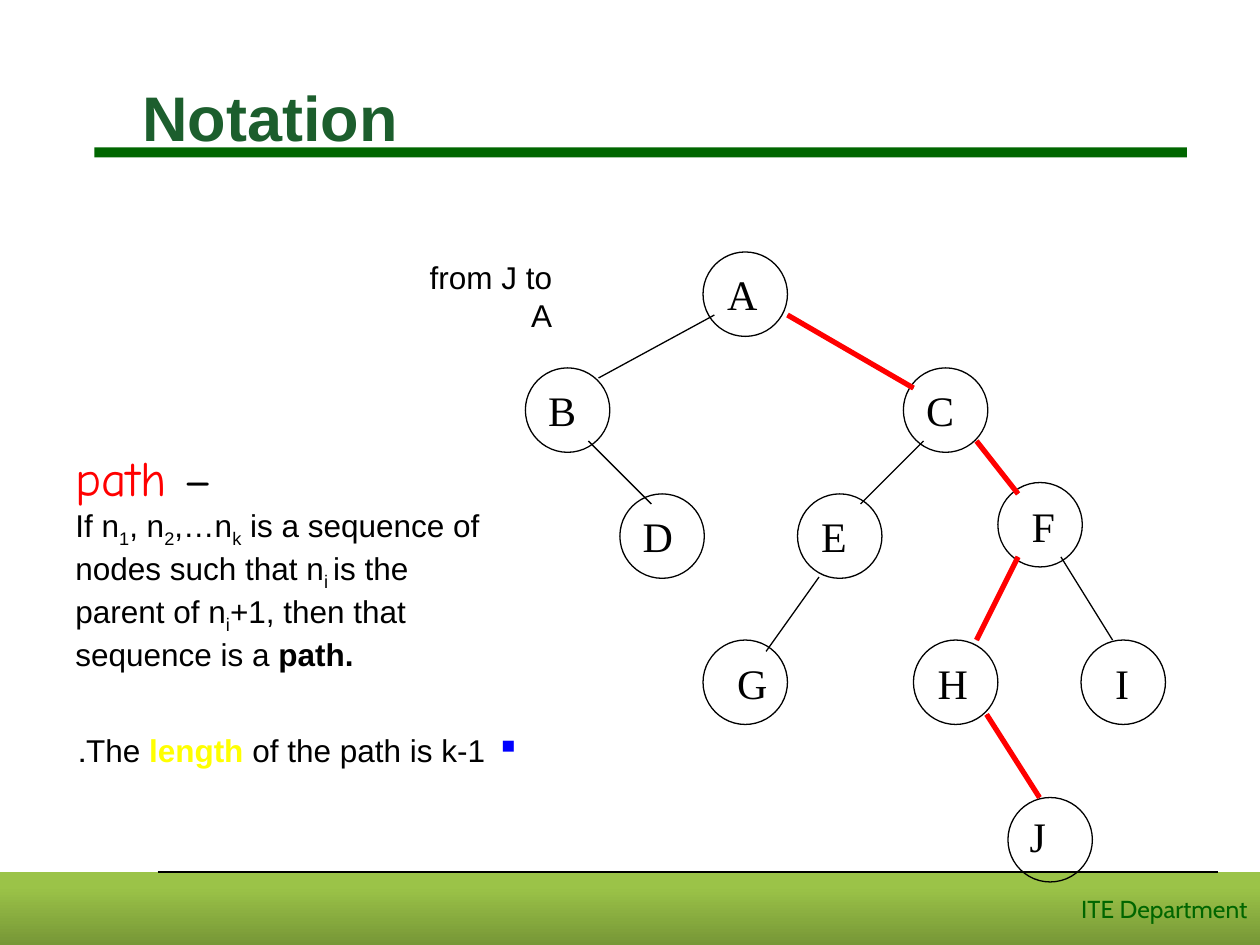
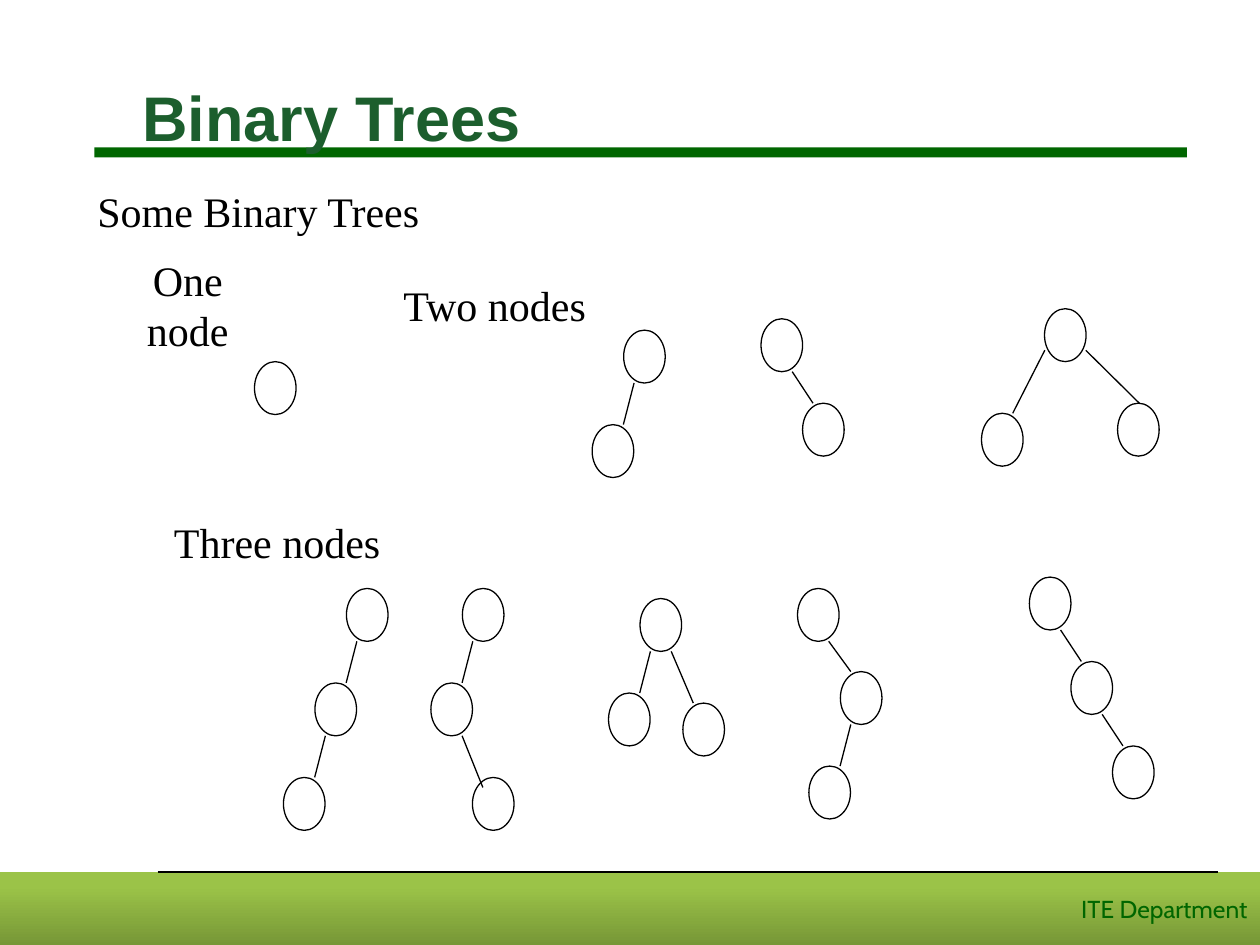
from dataclasses import dataclass

from lxml.etree import SubElement
from pptx import Presentation
from pptx.dml.color import RGBColor
from pptx.enum.shapes import MSO_CONNECTOR, MSO_SHAPE
from pptx.enum.text import MSO_ANCHOR, PP_ALIGN
from pptx.oxml.ns import qn
from pptx.util import Inches, Pt


@dataclass(frozen=True)
class Theme:
    title: str = "1C5E2D"
    bar: str = "006600"
    band_low: str = "779737"
    band_high: str = "9BC348"
    ink: str = "000000"
    paper: str = "FFFFFF"
    accent: str = "FF0000"
    bullet: str = "0000FF"
    highlight: str = "FFFF00"
    sans: str = "Arial"
    serif: str = "Times New Roman"
    comic: str = "Comic Neue"
    footer: str = "Cabin"
    title_size: int = 36
    term_size: int = 28
    label_size: int = 24
    body_size: int = 18
    footer_size: int = 14
    thin: float = 0.75
    thick: float = 3


T = Theme()

FOOTER = "ITE Department"
NOTATION = "Notation"
BINARY_TREES = "Binary Trees"

NODE_SIZE = 0.67
NODES = {
    "A": (5.58, 2), "B": (4.17, 2.92), "C": (7.17, 2.92),
    "D": (4.92, 3.92), "E": (6.33, 3.92), "F": (7.92, 3.83),
    "G": (5.58, 5.08), "H": (7.25, 5.08), "I": (8.58, 5.08), "J": (8, 6.33),
}
LETTERS = {
    "A": (5.67, 2.08, 0.44), "B": (4.25, 3, 0.42), "C": (7.25, 3, 0.42),
    "D": (5, 4, 0.44), "E": (6.42, 4, 0.4), "F": (8.09, 3.92, 0.38),
    "G": (5.75, 5.17, 0.44), "H": (7.34, 5.17, 0.44),
    "I": (8.75, 5.17, 0.31), "J": (8.07, 6.38, 0.33),
}
EDGES = {
    "AB": (5.67, 2.5, 4.75, 3), "AC": (6.25, 2.5, 7.25, 3.08),
    "BD": (4.67, 3.5, 5.17, 4), "CE": (7.33, 3.5, 6.83, 4),
    "CF": (7.75, 3.5, 8.08, 3.92), "EG": (6.5, 4.58, 6.08, 5.17),
    "FH": (8.08, 4.42, 7.75, 5.08), "FI": (8.42, 4.42, 8.83, 5.08),
    "HJ": (7.83, 5.67, 8.25, 6.33),
}
PATH_EDGES = ["AC", "CF", "FH", "HJ"]
PATH_LABEL = "from J to A"

TERM = [("path", T.accent), (" –", T.ink)]
DEFINITION = [
    ("If n", ""), ("1", "sub"), (", n", ""), ("2", "sub"), (",…n", ""),
    ("k", "sub"), (" is a sequence of nodes such that n", ""), ("i ", "sub"),
    ("is the parent of n", ""), ("i", "sub"),
    ("+1, then that sequence is a ", ""), ("path.", "bold"),
]
LENGTH = [("The ", T.ink), ("length", T.highlight), (" of the path is k-1.", T.ink)]

LABELS = [
    ("Some Binary Trees", 0.67, 1.42, 2.76),
    ("One node", 0.75, 2.17, 1.48),
    ("Two nodes", 3.1, 2.17, 1.65),
    ("Three nodes", 1.28, 4.05, 1.84),
]
OVAL_W, OVAL_H = 0.33, 0.42
STRAIGHT = ((0, 0), (0, 0))
CHAIN = [(0, 1, STRAIGHT), (1, 2, STRAIGHT)]
FORK = [(0, 1, STRAIGHT), (0, 2, STRAIGHT)]
WIDE_FORK = [(0, 1, ((-0.08, -0.09), (0, 0))), (0, 2, ((0.08, -0.09), (0.09, 0)))]
LOW_CHAIN = [(0, 1, STRAIGHT), (1, 2, ((0, 0), (0, 0.08)))]
TREES = [
    ([(2.02, 2.87)], []),
    ([(4.95, 2.62), (4.7, 3.37)], CHAIN[:1]),
    ([(6.04, 2.53), (6.37, 3.2)], CHAIN[:1]),
    ([(8.29, 2.45), (7.79, 3.28), (8.87, 3.2)], WIDE_FORK),
    ([(2.75, 4.67), (2.5, 5.42), (2.25, 6.17)], CHAIN),
    ([(3.67, 4.67), (3.42, 5.42), (3.75, 6.17)], LOW_CHAIN),
    ([(5.08, 4.75), (4.83, 5.5), (5.42, 5.58)], FORK),
    ([(6.33, 4.67), (6.67, 5.33), (6.42, 6.08)], CHAIN),
    ([(8.17, 4.58), (8.5, 5.25), (8.83, 5.92)], CHAIN),
]


def rgb(color):
    return RGBColor.from_string(color)


def style(r, size, font, color=T.ink, bold=False):
    r.font.size, r.font.name, r.font.bold = Pt(size), font, bold
    r.font.color.rgb = rgb(color)


def add_run(p, text, *look):
    r = p.add_run()
    r.text = text
    style(r, *look)
    return r


def add_shape(s, kind, x, y, w, h, fill=None, line=None):
    sp = s.shapes.add_shape(kind, Inches(x), Inches(y), Inches(w), Inches(h))
    sp.shadow.inherit = False
    if fill:
        sp.fill.solid()
        sp.fill.fore_color.rgb = rgb(fill)
    else:
        sp.fill.background()
    if line:
        sp.line.color.rgb = rgb(line)
        sp.line.width = Pt(T.thin)
    else:
        sp.line.fill.background()
    return sp


def add_line(s, x1, y1, x2, y2, color=T.ink, width=T.thin):
    ln = s.shapes.add_connector(
        MSO_CONNECTOR.STRAIGHT, Inches(x1), Inches(y1), Inches(x2), Inches(y2))
    ln.line.color.rgb = rgb(color)
    ln.line.width = Pt(width)
    SubElement(ln._element.spPr, qn("a:effectLst"))
    return ln


def add_box(s, x, y, w, h, wrap=False):
    tf = s.shapes.add_textbox(Inches(x), Inches(y), Inches(w), Inches(h)).text_frame
    tf.word_wrap = wrap
    return tf


def add_label(s, text, x, y, w, h, align, size=T.label_size, font=T.serif):
    tf = add_box(s, x, y, w, h)
    p = tf.paragraphs[0]
    p.alignment = align
    add_run(p, text, size, font)
    return tf


def furnish_layout(layout, s):
    band = add_shape(s, MSO_SHAPE.RECTANGLE, 0, 6.92, 10, 0.58)
    band.fill.gradient()
    band.fill.gradient_angle = 90
    stops = zip(band.fill.gradient_stops, (0, 0.8), (T.band_low, T.band_high))
    for stop, position, color in stops:
        stop.position = position
        stop.color.rgb = rgb(color)
    tf = band.text_frame
    tf.vertical_anchor = MSO_ANCHOR.MIDDLE
    p = tf.paragraphs[0]
    p.alignment = PP_ALIGN.RIGHT
    add_run(p, FOOTER, T.footer_size, T.footer, T.bar)
    rule = add_line(s, 1.25, 6.92, 9.67, 6.92)
    bar = add_shape(s, MSO_SHAPE.RECTANGLE, 0.75, 1.17, 8.67, 0.08, T.bar)
    for part in (band, rule, bar):
        layout.shapes._spTree.append(part._element)


def set_title(s, text):
    sp = s.shapes.title
    sp.left, sp.top, sp.width, sp.height = (Inches(v) for v in (0.5, 0.3, 9, 1.25))
    tf = sp.text_frame
    tf.text = text
    tf.vertical_anchor = MSO_ANCHOR.MIDDLE
    p = tf.paragraphs[0]
    p.alignment = PP_ALIGN.LEFT
    p._p.get_or_add_pPr().set("marL", str(Inches(0.53)))
    style(p.runs[0], T.title_size, T.sans, T.title, True)


def add_definition(s):
    tf = add_box(s, 0.5, 3.5, 3.5, 1.89, wrap=True)
    p = tf.paragraphs[0]
    for text, color in TERM:
        add_run(p, text, T.term_size, T.comic, color)
    p = tf.add_paragraph()
    for text, kind in DEFINITION:
        r = add_run(p, text, T.body_size, T.sans, T.ink, kind == "bold")
        if kind == "sub":
            r.font._element.set("baseline", "-25000")


def add_length_note(s):
    p = add_box(s, 0.52, 5.75, 3.67, 0.4).paragraphs[0]
    p.alignment = PP_ALIGN.RIGHT
    pPr = p._p.get_or_add_pPr()
    for key, value in (("marL", Inches(0.24)), ("indent", -Inches(0.24)), ("rtl", 1)):
        pPr.set(key, str(int(value)))
    SubElement(SubElement(pPr, qn("a:buClr")), qn("a:srgbClr")).set("val", T.bullet)
    SubElement(pPr, qn("a:buSzPct")).set("val", "60000")
    SubElement(pPr, qn("a:buChar")).set("char", "■")
    for text, color in LENGTH:
        add_run(p, text, T.body_size, T.sans, color, color == T.highlight)


def draw_notation(s):
    set_title(s, NOTATION)
    add_definition(s)
    for x, y in NODES.values():
        add_shape(s, MSO_SHAPE.OVAL, x, y, NODE_SIZE, NODE_SIZE, line=T.ink)
    for ends in EDGES.values():
        add_line(s, *ends)
    for letter, (x, y, w) in LETTERS.items():
        add_label(s, letter, x, y, w, 0.5, PP_ALIGN.RIGHT)
    add_label(s, PATH_LABEL, 3.09, 2, 1.39, 0.4, PP_ALIGN.RIGHT, T.body_size, T.sans)
    for edge in PATH_EDGES:
        add_line(s, *EDGES[edge], T.accent, T.thick)
    add_length_note(s)


def draw_tree(s, nodes, edges):
    for x, y in nodes:
        add_shape(s, MSO_SHAPE.OVAL, x, y, OVAL_W, OVAL_H, T.paper, T.ink)
    near, far = OVAL_W / 4, OVAL_W * 3 / 4
    for parent, child, ((sx, sy), (ex, ey)) in edges:
        (px, py), (cx, cy) = nodes[parent], nodes[child]
        start, end = (near, far) if cx < px else (far, near)
        add_line(s, px + start + sx, py + OVAL_H + sy, cx + end + ex, cy + ey)


def draw_binary_trees(s):
    set_title(s, BINARY_TREES)
    for text, x, y, w in LABELS:
        tf = add_label(s, text, x, y, w, 0.5, PP_ALIGN.CENTER)
        tf.vertical_anchor = MSO_ANCHOR.MIDDLE
    for nodes, edges in TREES:
        draw_tree(s, nodes, edges)


def main():
    prs = Presentation()
    prs.slide_width, prs.slide_height = Inches(10), Inches(7.5)
    layout = prs.slide_layouts[5]
    notation, binary_trees = (prs.slides.add_slide(layout) for _ in range(2))
    furnish_layout(layout, notation)
    draw_notation(notation)
    draw_binary_trees(binary_trees)
    prs.save("out.pptx")


if __name__ == "__main__":
    main()
